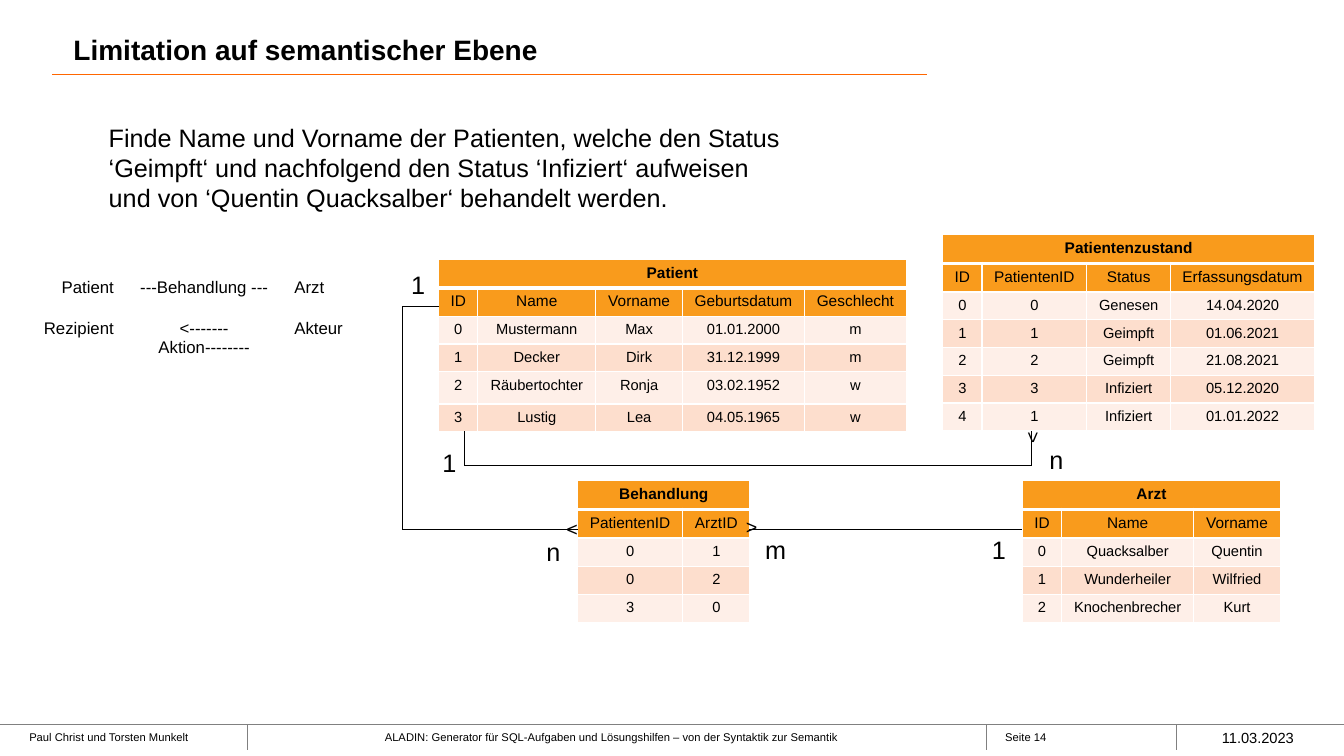
from itertools import pairwise

from lxml import etree
from pptx import Presentation
from pptx import util as u
from pptx.dml import color
from pptx.enum import shapes, text
from pptx.oxml import ns

LEFT, CENTER, RIGHT = text.PP_ALIGN.LEFT, text.PP_ALIGN.CENTER, text.PP_ALIGN.RIGHT
BLACK, WHITE, GREY, RULE = "000000", "FFFFFF", "808080", "FF6600"
HEADER, BANDS = "F99B1C", ("FEEFE8", "FDDECD")


def rgb(value):
    return color.RGBColor.from_string(value)


def set_values(target, values):
    for name, value in values.items():
        setattr(target, name, value)


class SlideBuilder:
    font_name = "Arial"

    def __init__(self, slide):
        self.slide = slide

    def fill_paragraph(self, paragraph, content, size, bold=False, align=LEFT):
        paragraph.text = content
        paragraph.alignment = align
        set_values(paragraph.font, {"name": self.font_name, "size": u.Pt(size), "bold": bold})
        paragraph.font.color.rgb = rgb(BLACK)

    def text(self, content, box, size, bold=False, align=LEFT, rotation=0,
             inset=0.1, anchor=text.MSO_ANCHOR.TOP):
        shape = self.slide.shapes.add_textbox(*map(u.Inches, box))
        shape.rotation = rotation
        set_values(shape.text_frame, {"word_wrap": True, "vertical_anchor": anchor,
                                      "margin_left": u.Inches(inset)})
        self.fill_paragraph(shape.text_frame.paragraphs[0], content, size, bold, align)

    def line(self, *points, line_color=BLACK):
        for start, end in pairwise(points):
            connector = self.slide.shapes.add_connector(
                shapes.MSO_CONNECTOR.STRAIGHT, *map(u.Inches, start + end))
            connector.line.width = u.Pt(0.75)
            connector.line.color.rgb = rgb(line_color)
            etree.SubElement(connector._element.spPr, ns.qn("a:effectLst"))

    def border(self, cell, widths):
        """Cell edges in the order left, right, top, bottom; width 0 hides an edge."""
        properties = cell._tc.get_or_add_tcPr()
        for side, width in zip("LRTB", widths):
            edge = etree.SubElement(properties, ns.qn(f"a:ln{side}"), w=str(u.Pt(width)))
            if width:
                fill = etree.SubElement(edge, ns.qn("a:solidFill"))
                etree.SubElement(fill, ns.qn("a:srgbClr"), val=WHITE)
            else:
                etree.SubElement(edge, ns.qn("a:noFill"))

    def grid(self, left, top, columns, heights):
        frame = self.slide.shapes.add_table(
            len(heights), len(columns),
            *map(u.Inches, (left, top, sum(columns), sum(heights))))
        table = frame.table
        set_values(table, {"first_row": False, "horz_banding": False})
        for column, width in zip(table.columns, columns):
            column.width = u.Inches(width)
        for row, height in zip(table.rows, heights):
            row.height = u.Inches(height)
        return table

    def entity(self, title, left, top, columns, heights, rows):
        """Database table with a title row, a header row and banded records."""
        table = self.grid(left, top, columns, heights)
        title_row = [title] + [""] * (len(columns) - 1)
        for r, values in enumerate([title_row] + rows):
            for c, value in enumerate(values):
                cell = table.cell(r, c)
                self.border(cell, (1, 1, 3 if r == 1 else 1, 3 if r == 0 else 1))
                cell.fill.solid()
                cell.fill.fore_color.rgb = rgb(HEADER if r < 2 else BANDS[r % 2])
                set_values(cell, {"margin_left": u.Inches(0.05), "margin_right": u.Inches(0.05)})
                self.fill_paragraph(cell.text_frame.paragraphs[0], value,
                                    11 if r < 2 else 10.5, r == 0, CENTER)
        table.cell(0, 0).merge(table.cell(0, len(columns) - 1))

    def roles(self, left, top, columns, height, rows):
        """Plain table that sets out who acts on whom."""
        table = self.grid(left, top, columns, [height] * len(rows))
        for r, values in enumerate(rows):
            for c, (value, align) in enumerate(zip(values, (RIGHT, CENTER, LEFT))):
                cell = table.cell(r, c)
                self.border(cell, (0, 0, 0, 0))
                cell.fill.background()
                self.fill_paragraph(cell.text_frame.paragraphs[0], value, 12, align=align)


def main():
    presentation = Presentation()
    set_values(presentation, {"slide_width": u.Inches(13.33), "slide_height": u.Inches(7.5)})
    builder = SlideBuilder(presentation.slides.add_slide(presentation.slide_layouts[6]))

    # Footer
    footer = (
        ("Paul Christ und Torsten Munkelt", 0.29, 1.81, LEFT),
        ("ALADIN: Generator für SQL-Aufgaben und Lösungshilfen – von der Syntaktik zur Semantik",
         2.62, 6.99, CENTER),
        ("Seite 14", 9.97, 1.47, LEFT),
    )
    for content, left, width, align in footer:
        builder.text(content, (left, 7.2, width, 0.24), 8, align=align, inset=0)
    builder.text("11.03.2023", (12.02, 7.2, 1.18, 0.24), 10.5, anchor=text.MSO_ANCHOR.MIDDLE)
    builder.line((0, 7.19), (13.33, 7.19), line_color=GREY)
    for x in (2.45, 9.78, 11.67):
        builder.line((x, 7.19), (x, 7.44), line_color=GREY)

    # Title and task
    builder.line((0.52, 0.74), (9.19, 0.74), line_color=RULE)
    builder.text("Limitation auf semantischer Ebene", (0.63, 0.2, 8.61, 0.58), 20,
                 bold=True, anchor=text.MSO_ANCHOR.MIDDLE)
    builder.text("Finde Name und Vorname der Patienten, welche den Status ‘Geimpft‘ und "
                 "nachfolgend den Status ‘Infiziert‘ aufweisen und von ‘Quentin "
                 "Quacksalber‘ behandelt werden.", (0.98, 1.16, 6.91, 1.13), 18)

    # Database tables
    builder.entity(
        "Patientenzustand", 9.35, 2.33, (0.39, 1.04, 0.83, 1.43), [0.27] * 2 + [0.26] * 5,
        [["ID", "PatientenID", "Status", "Erfassungsdatum"],
         ["0", "0", "Genesen", "14.04.2020"],
         ["1", "1", "Geimpft", "01.06.2021"],
         ["2", "2", "Geimpft", "21.08.2021"],
         ["3", "3", "Infiziert", "05.12.2020"],
         ["4", "1", "Infiziert", "01.01.2022"]])
    builder.entity(
        "Patient", 4.35, 2.57, (0.39, 1.17, 0.86, 1.21, 1.01),
        [0.27] * 2 + [0.26, 0.26, 0.32, 0.26],
        [["ID", "Name", "Vorname", "Geburtsdatum", "Geschlecht"],
         ["0", "Mustermann", "Max", "01.01.2000", "m"],
         ["1", "Decker", "Dirk", "31.12.1999", "m"],
         ["2", "Räubertochter", "Ronja", "03.02.1952", "w"],
         ["3", "Lustig", "Lea", "04.05.1965", "w"]])
    builder.entity(
        "Arzt", 10.14, 4.77, (0.39, 1.31, 0.86), [0.28] * 5,
        [["ID", "Name", "Vorname"],
         ["0", "Quacksalber", "Quentin"],
         ["1", "Wunderheiler", "Wilfried"],
         ["2", "Knochenbrecher", "Kurt"]])
    builder.entity(
        "Behandlung", 5.73, 4.77, (1.04, 0.67), [0.28] * 5,
        [["PatientenID", "ArztID"], ["0", "1"], ["0", "2"], ["3", "0"]])

    # Relationship lines
    builder.line((4.61, 4.28), (4.61, 4.62), (10.23, 4.62), (10.23, 4.28))
    builder.line((4.35, 3.04), (3.99, 3.04), (3.99, 5.25), (5.73, 5.25))
    builder.line((7.43, 5.25), (10.14, 5.25))

    # Cardinalities and crow's feet
    cardinalities = (("1", 4.29, 4.39), ("n", 10.31, 4.36), ("1", 9.74, 5.25),
                     ("m", 7.49, 5.25), ("n", 5.32, 5.27), ("1", 3.98, 2.62))
    for label, left, top in cardinalities:
        builder.text(label, (left, top, 0.31, 0.4), 18)
    for left, top, rotation in ((10.08, 4.17, 270), (5.52, 5.08, 0), (7.3, 5.08, 180)):
        builder.text("<", (left, top, 0.31, 0.34), 14, rotation=rotation)

    # Semantic roles
    builder.roles(0.29, 2.71, (0.94, 1.59, 0.87), 0.41,
                  [["Patient", "---Behandlung ---", "Arzt"],
                   ["Rezipient", "<-------Aktion--------", "Akteur"]])

    presentation.save("out.pptx")


if __name__ == "__main__":
    main()
